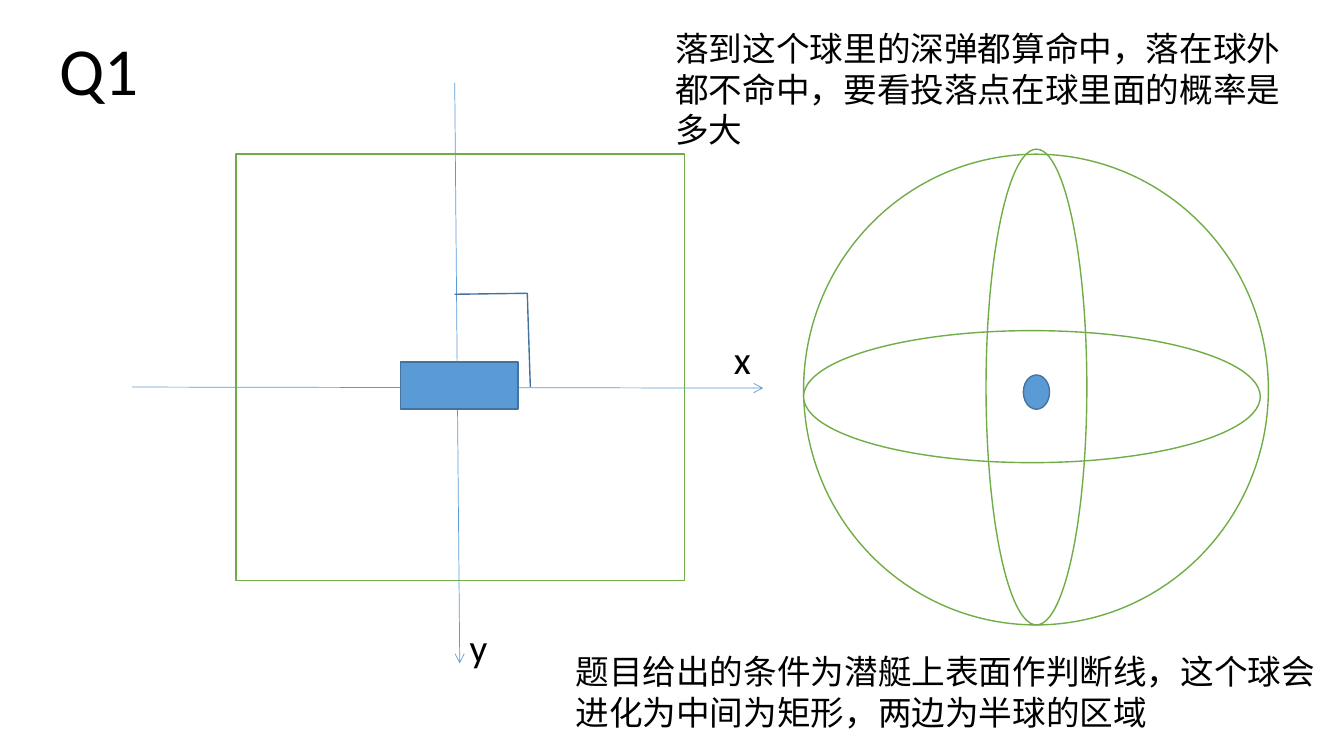
"""Build the Q1 slide: a hit region in plan view and as a sphere."""
from lxml import etree
from pptx import Presentation
from pptx.dml.color import RGBColor
from pptx.enum.shapes import MSO_CONNECTOR, MSO_SHAPE
from pptx.enum.text import MSO_ANCHOR, MSO_AUTO_SIZE, PP_ALIGN
from pptx.oxml.ns import qn
from pptx.util import Inches, Pt

RECT, OVAL = MSO_SHAPE.RECTANGLE, MSO_SHAPE.OVAL
LINE = MSO_CONNECTOR.STRAIGHT
TOP, LEFT = MSO_ANCHOR.TOP, PP_ALIGN.LEFT
GROW = MSO_AUTO_SIZE.SHAPE_TO_FIT_TEXT
COLORS = {"white": "FFFFFF", "black": "000000", "green": "70AD47",
          "blue": "5B9BD5", "navy": "43739E"}


def color(name):
    """Return the named colour."""
    return RGBColor.from_string(COLORS[name])


def apply(item, values):
    """Set attributes of an item from a dict."""
    for key, value in values.items():
        setattr(item, key, value)


def place(shape, box):
    """Move and size a shape to a box in inches."""
    apply(shape, dict(zip(("left", "top", "width", "height"), map(Inches, box))))


def paint(shape, fill, line):
    """Give a shape its fill and outline, without a shadow."""
    shape.shadow.inherit = False
    if fill:
        shape.fill.solid()
        shape.fill.fore_color.rgb = color(fill)
    else:
        shape.fill.background()
    shape.line.color.rgb = color(line)
    shape.line.width = Pt(1)


def add_form(slide, kind, box, fill, line):
    """Add a preset shape."""
    shape = slide.shapes.add_shape(kind, *map(Inches, box))
    paint(shape, fill, line)


def add_axis(slide, start, end):
    """Add an axis with an open arrowhead at its end."""
    axis = slide.shapes.add_connector(LINE, *map(Inches, start + end))
    axis.line.color.rgb = color("blue")
    axis.line.width = Pt(0.5)
    etree.SubElement(axis.line._get_or_add_ln(), qn("a:tailEnd"), type="arrow")
    etree.SubElement(axis._element.spPr, qn("a:effectLst"))


def add_path(slide, points):
    """Add an open path through the points."""
    first, *rest = [tuple(map(Inches, point)) for point in points]
    form = slide.shapes.build_freeform(*first)
    form.add_line_segments(rest, close=False)
    paint(form.convert_to_shape(), None, "navy")


def write(shape, text, size):
    """Fill a text shape with formatted text."""
    frame = shape.text_frame
    frame.text = text
    apply(frame, {"word_wrap": True, "auto_size": GROW, "vertical_anchor": TOP})
    para = frame.paragraphs[0]
    para.alignment = LEFT
    apply(para.runs[0].font, {"name": "Calibri", "size": Pt(size)})
    para.runs[0].font.color.rgb = color("black")


def add_text(slide, box, text, size):
    """Add a text box."""
    write(slide.shapes.add_textbox(*map(Inches, box)), text, size)


def draw_plan(slide):
    """Draw the plan view with its axes and the target."""
    add_form(slide, RECT, (2.34, 1.53, 4.45, 4.23), "white", "green")
    add_axis(slide, (1.31, 3.84), (7.57, 3.85))
    add_axis(slide, (4.51, 0.82), (4.56, 6.58))
    add_text(slide, (7.18, 3.28, 0.68, 0.57), "x", 28)
    add_text(slide, (4.56, 6.13, 0.26, 0.57), "y", 28)
    add_form(slide, RECT, (3.97, 3.59, 1.17, 0.47), "blue", "navy")
    add_path(slide, [(4.51, 2.92), (5.23, 2.91), (5.26, 3.84)])


def draw_ball(slide):
    """Draw the sphere with its two rings and the centre."""
    add_form(slide, OVAL, (7.97, 1.53, 4.61, 4.67), "white", "green")
    add_form(slide, OVAL, (7.97, 3.28, 4.53, 1.31), "white", "green")
    add_form(slide, OVAL, (9.78, 1.48, 1, 4.72), None, "green")
    add_form(slide, OVAL, (10.15, 3.72, 0.26, 0.34), "blue", "navy")


def main():
    """Build and save the slide."""
    deck = Presentation()
    apply(deck, {"slide_width": Inches(13.33), "slide_height": Inches(7.5)})
    slide = deck.slides.add_slide(deck.slide_layouts[5])
    title = slide.shapes.title
    place(title, (0.49, 0.23, 0.99, 0.91))
    write(title, "Q1", 48)
    draw_plan(slide)
    draw_ball(slide)
    add_text(slide, (6.6, 0.23, 6.38, 1.31),
             "落到这个球里的深弹都算命中，落在球外都不命中，要看投落点在球里面的概率是多大", 24)
    add_text(slide, (5.61, 6.41, 7.72, 0.91),
             "题目给出的条件为潜艇上表面作判断线，这个球会进化为中间为矩形，两边为半球的区域", 24)
    deck.save("out.pptx")


if __name__ == "__main__":
    main()
